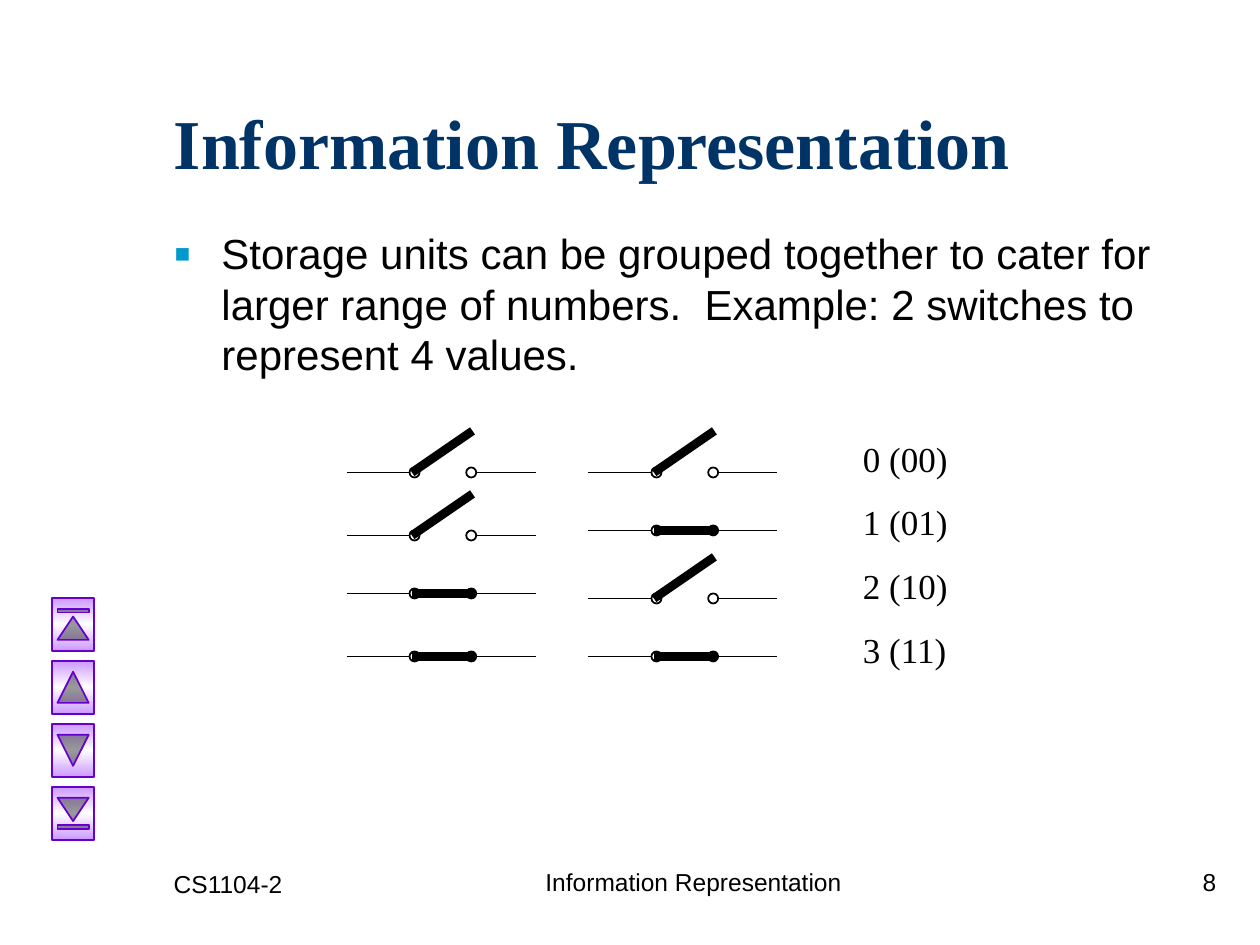
"""Build the slide on grouping switches to represent numbers."""
from lxml.etree import SubElement
from pptx import Presentation
from pptx.dml.color import RGBColor
from pptx.enum.shapes import MSO_CONNECTOR, MSO_SHAPE as SHAPE
from pptx.enum.text import MSO_ANCHOR as ANCHOR, PP_ALIGN as ALIGN
from pptx.oxml import parse_xml
from pptx.oxml.ns import nsdecls, qn
from pptx.util import Inches, Pt

TITLE = "Information Representation"
STATEMENT = ("Storage units can be grouped together to cater for larger range of numbers.  "
             "Example: 2 switches to represent 4 values.")
VALUES = ["00", "01", "10", "11"]
BUTTONS = [SHAPE.ACTION_BUTTON_BEGINNING, SHAPE.ACTION_BUTTON_BACK_OR_PREVIOUS,
           SHAPE.ACTION_BUTTON_FORWARD_OR_NEXT, SHAPE.ACTION_BUTTON_END]
FOOTERS = [
    (TITLE, (3.92, 6.83, 3.17, 0.5), ALIGN.CENTER),
    ("8", (7.67, 6.83, 2.08, 0.5), ALIGN.RIGHT),
    ("CS1104-2", (1.28, 6.85, 2.08, 0.5), ALIGN.LEFT),
]
SWITCH_LEFTS = [2.75, 4.67]
FIRST_ROW, ROW_STEP, CLOSED_RISE = 3.75, 0.5, 0.04
DOT = 0.08
BUTTON_WIDTH, BUTTON_HEIGHT = 0.42, 0.33
GRADIENT = [(0, "CC99FF"), (50, "FFFFFF"), (100, "CC99FF")]


def color(value):
    return RGBColor.from_string(value)


def inches(box):
    return [Inches(length) for length in box]


def add_bullet(paragraph):
    properties = paragraph._p.get_or_add_pPr()
    properties.set("marL", str(Inches(0.38)))
    properties.set("indent", str(-Inches(0.38)))
    bullet_color = SubElement(properties, qn("a:buClr"))
    SubElement(bullet_color, qn("a:srgbClr"), val="0099CC")
    SubElement(properties, qn("a:buSzPct"), val="120000")
    SubElement(properties, qn("a:buFont"), typeface="Arial")
    SubElement(properties, qn("a:buChar"), char="▪")


def write_text(shape, lines, *, size, font="Arial", hex_color="000000", bold=False,
               align=ALIGN.LEFT, anchor=ANCHOR.TOP, gap=0, bullet=False):
    frame = shape.text_frame
    frame.word_wrap = True
    frame.vertical_anchor = anchor
    for index, line in enumerate(lines):
        paragraph = frame.paragraphs[0] if index == 0 else frame.add_paragraph()
        paragraph.alignment = align
        paragraph.space_before = Pt(gap if index else 0)
        if bullet:
            add_bullet(paragraph)
        run = paragraph.add_run()
        run.text = line
        run.font.size, run.font.name, run.font.bold = Pt(size), font, bold
        run.font.color.rgb = color(hex_color)


def add_line(shapes, start, end, width=1):
    line = shapes.add_connector(MSO_CONNECTOR.STRAIGHT, *inches(start + end))
    line.line.color.rgb = color("000000")
    line.line.width = Pt(width)
    SubElement(line._element.spPr, qn("a:effectLst"))


def add_dot(shapes, left, top):
    dot = shapes.add_shape(SHAPE.OVAL, *inches((left, top, DOT, DOT)))
    dot.shadow.inherit = False
    dot.fill.solid()
    dot.fill.fore_color.rgb = color("FFFFFF")
    dot.line.color.rgb = color("000000")
    dot.line.width = Pt(1)


def add_switch(slide, left, row, closed):
    shapes = slide.shapes.add_group_shape().shapes
    y = FIRST_ROW + row * ROW_STEP - (CLOSED_RISE if closed else 0)
    for offset in (0, 1):
        add_line(shapes, (left + offset, y), (left + offset + 0.5, y))
    for offset in (0.5, 0.95):
        add_dot(shapes, left + offset, y - DOT / 2)
    arm_end = (left + 1.02, y) if closed else (left + 1, y - 0.33)
    add_line(shapes, (left + 0.52, y), arm_end, width=5)


def add_button(slide, kind, index):
    box = (0.37, 4.79 + index * 0.5, BUTTON_WIDTH, BUTTON_HEIGHT)
    button = slide.shapes.add_shape(kind, *inches(box))
    button.rotation = 90
    button.shadow.inherit = False
    button.line.color.rgb = color("6600CC")
    button.line.width = Pt(1)
    stops = "".join(f'<a:gs pos="{position * 1000}"><a:srgbClr val="{value}"/></a:gs>'
                    for position, value in GRADIENT)
    button._element.spPr.find(qn("a:prstGeom")).addnext(parse_xml(
        f'<a:gradFill {nsdecls("a")} rotWithShape="0"><a:gsLst>{stops}</a:gsLst>'
        '<a:lin ang="5400000" scaled="1"/></a:gradFill>'))


def main():
    presentation = Presentation()
    presentation.slide_width, presentation.slide_height = Inches(10), Inches(7.5)
    slide = presentation.slides.add_slide(presentation.slide_layouts[5])

    title = slide.shapes.title
    title.left, title.top, title.width, title.height = inches((1.28, 0.5, 8.5, 1.25))
    write_text(title, [TITLE], size=40, font="Times New Roman", hex_color="003366",
               bold=True, anchor=ANCHOR.MIDDLE)
    body = slide.shapes.add_textbox(*inches((1.28, 1.76, 8.5, 1.31)))
    write_text(body, [STATEMENT], size=24, bullet=True)

    for row, bits in enumerate(VALUES):
        for left, bit in zip(SWITCH_LEFTS, bits):
            add_switch(slide, left, row, closed=bit == "1")
    labels = slide.shapes.add_textbox(*inches((6.75, 3.42, 1.3, 1.96)))
    write_text(labels, [f"{number} ({bits})" for number, bits in enumerate(VALUES)],
               size=20, font="Times New Roman", gap=12.5)

    for index, kind in enumerate(BUTTONS):
        add_button(slide, kind, index)
    for text, box, align in FOOTERS:
        write_text(slide.shapes.add_textbox(*inches(box)), [text], size=14, align=align)
    presentation.save("out.pptx")


if __name__ == "__main__":
    main()
